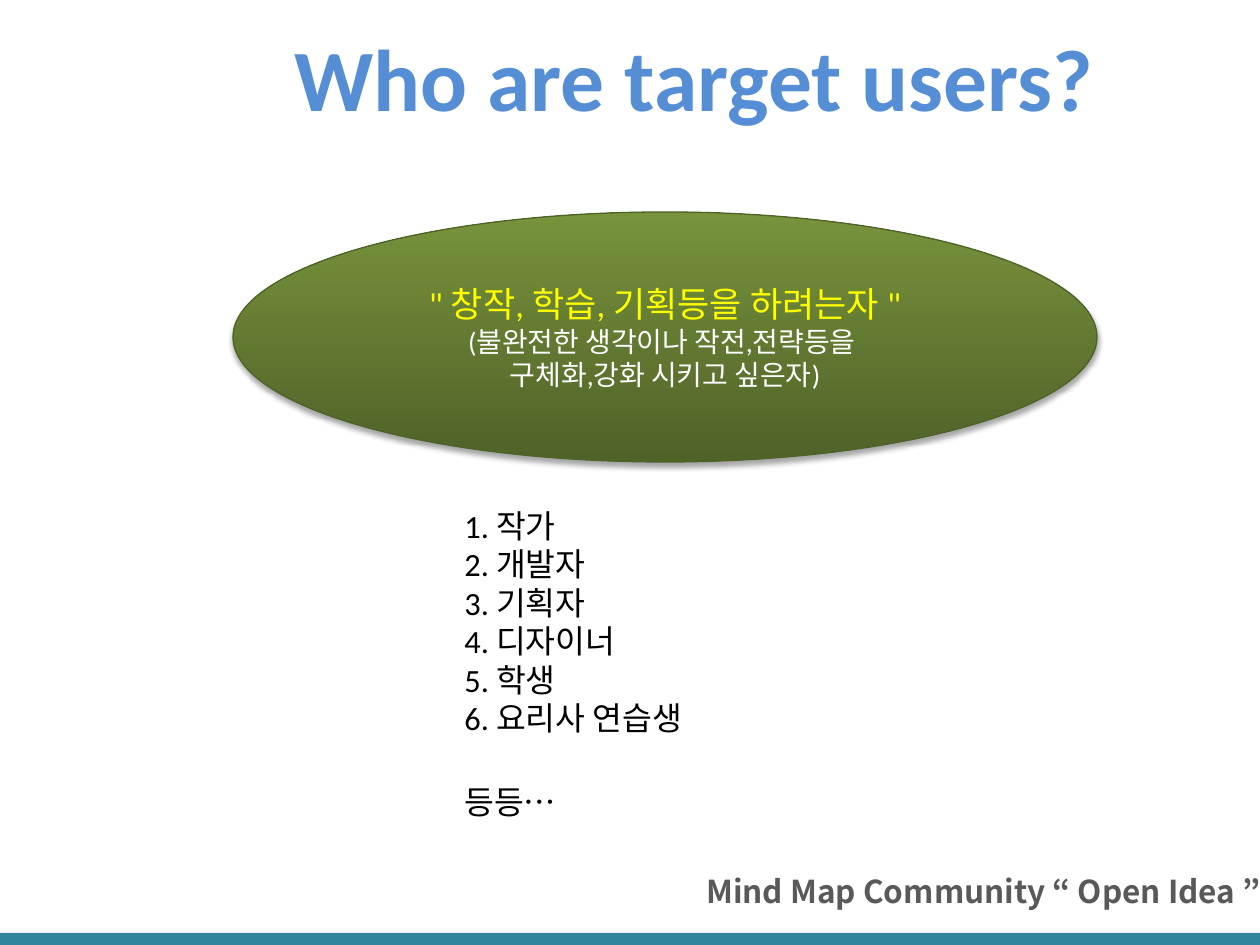
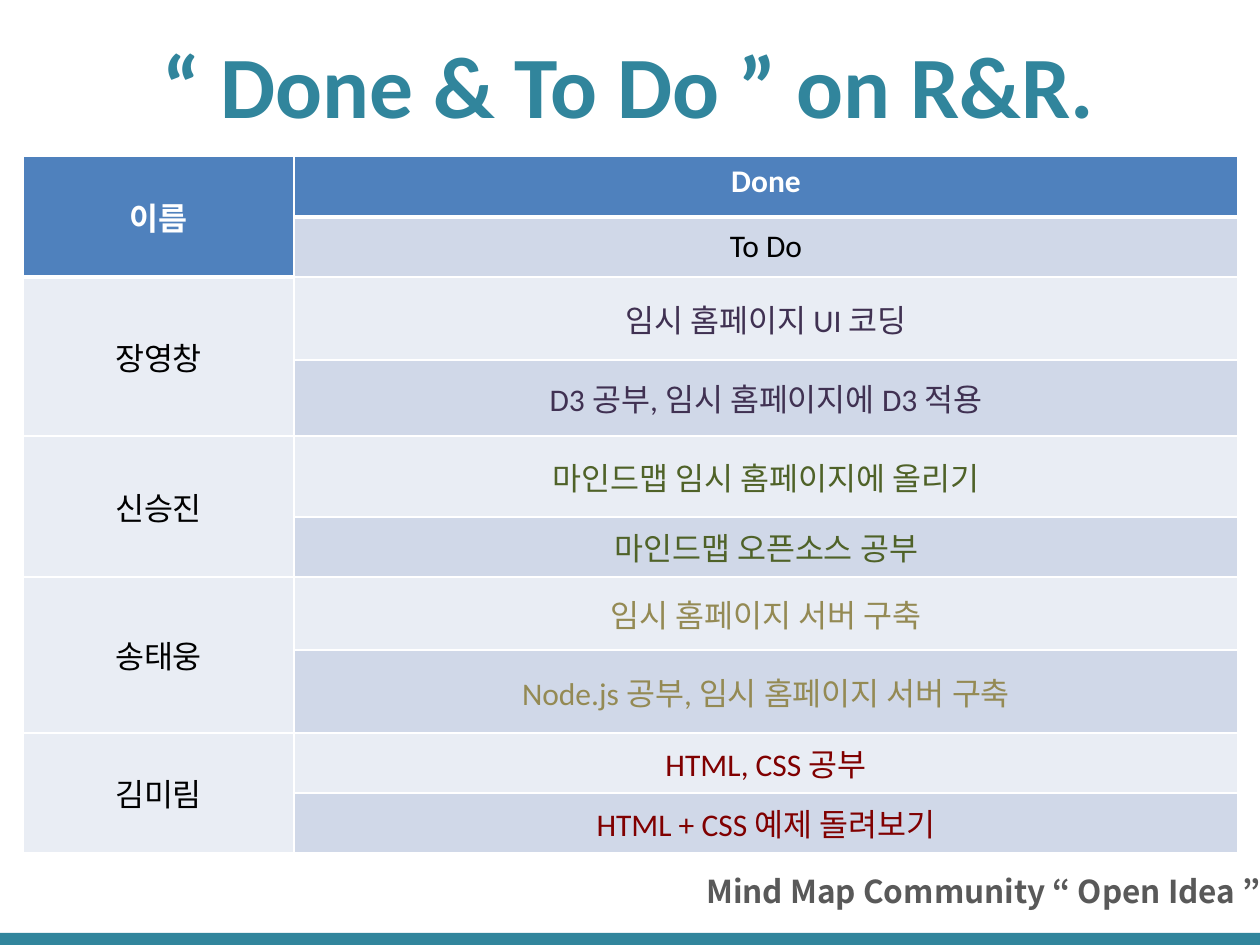
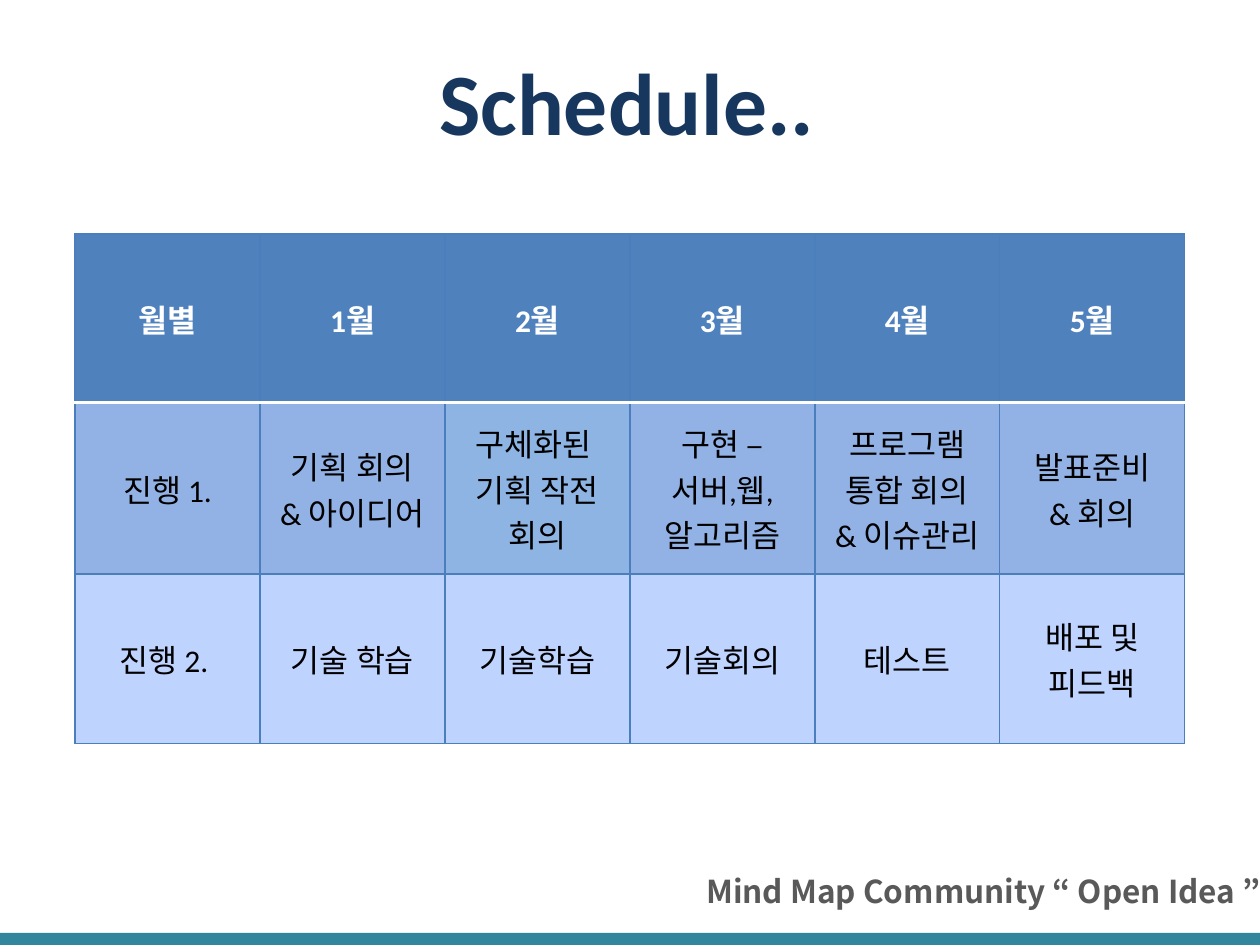
from dataclasses import dataclass
from typing import Optional

import pptx
import pptx.dml.color
import pptx.enum.shapes
import pptx.enum.text
import pptx.oxml
import pptx.oxml.ns
import pptx.util

EMU_PER_PX = 914400 / 126
PT = pptx.util.Pt
ALIGN = pptx.enum.text.PP_ALIGN
ANCHOR = pptx.enum.text.MSO_ANCHOR
SHAPE = pptx.enum.shapes.MSO_SHAPE
FIT = pptx.enum.text.MSO_AUTO_SIZE

COLORS = {
    "white": "FFFFFF",
    "black": "000000",
    "teal": "31859C",
    "sky": "558ED5",
    "navy": "17375E",
    "footer": "595959",
    "yellow": "FFFF00",
    "olive": "4F6228",
    "green": "77933C",
    "header": "4F81BD",
    "grid": "4B7EBC",
    "done": "E9EDF4",
    "todo": "D0D8E8",
    "purple": "403152",
    "khaki": "948A54",
    "maroon": "800000",
    "step1": "92B2E5",
    "step1_focus": "8EB4E3",
    "step2": "BFD3FF",
}


@dataclass(frozen=True)
class Box:
    left: int
    top: int
    width: int
    height: int

    def emu(self) -> tuple[int, int, int, int]:
        return px(self.left), px(self.top), px(self.width), px(self.height)


@dataclass(frozen=True)
class Style:
    size: float
    color: str
    bold: bool = False
    align: Optional[ALIGN] = ALIGN.CENTER
    font: str = "Calibri"


@dataclass(frozen=True)
class Edge:
    color: str
    width: float


@dataclass(frozen=True)
class Member:
    name: str
    done: str
    todo: str
    color: str


HEADER_STYLE = Style(18, "white", bold=True)
CELL_STYLE = Style(18, "black")


def px(length: float) -> int:
    return round(length * EMU_PER_PX)


def rgb(name: str) -> pptx.dml.color.RGBColor:
    return pptx.dml.color.RGBColor.from_string(COLORS[name])


def format_paragraph(p, style: Style) -> None:
    p.alignment = style.align
    p.font.name = style.font
    p.font.size = PT(style.size)
    p.font.bold = style.bold
    p.font.color.rgb = rgb(style.color)


def write(tf, text: str, style: Style) -> None:
    tf.text = text
    for p in tf.paragraphs:
        format_paragraph(p, style)


def add_text(slide, box: Box, text: str, style: Style):
    tf = slide.shapes.add_textbox(*box.emu()).text_frame
    tf.word_wrap = True
    write(tf, text, style)
    return tf


def add_slide(prs, title: str, box: Box, color: str, align: ALIGN = ALIGN.CENTER):
    slide = prs.slides.add_slide(prs.slide_layouts[5])
    sp = slide.shapes.title
    sp.left, sp.top, sp.width, sp.height = box.emu()
    tf = sp.text_frame
    tf.word_wrap = False
    tf.auto_size = FIT.SHAPE_TO_FIT_TEXT
    tf.vertical_anchor = ANCHOR.TOP
    write(tf, title, Style(50, color, bold=True, align=align))

    band = slide.shapes.add_shape(SHAPE.RECTANGLE, *Box(0, 933, 1260, 16).emu())
    band.shadow.inherit = False
    band.fill.solid()
    band.fill.fore_color.rgb = rgb("teal")
    band.line.fill.background()
    footer_style = Style(18, "footer", True, ALIGN.JUSTIFY, "Noto Sans CJK KR")
    add_text(slide, Box(694, 866, 869, 50), "Mind Map Community “ Open Idea ”", footer_style)
    return slide


def add_drop_shadow(sp) -> None:
    sp.shadow.inherit = False
    effects = sp._element.spPr.find(pptx.oxml.ns.qn("a:effectLst"))
    effects.append(pptx.oxml.parse_xml(
        f'<a:outerShdw {pptx.oxml.ns.nsdecls("a")} blurRad="{PT(3.1)}" dist="{PT(1.8)}" '
        f'dir="5400000" rotWithShape="0"><a:srgbClr val="{COLORS["black"]}">'
        '<a:alpha val="35000"/></a:srgbClr></a:outerShdw>'))


def set_edges(cell, edges: dict[str, Edge]) -> None:
    tc_pr = cell._tc.get_or_add_tcPr()
    for index, (side, edge) in enumerate(edges.items()):
        tc_pr.insert(index, pptx.oxml.parse_xml(
            f'<a:ln{side} {pptx.oxml.ns.nsdecls("a")} w="{PT(edge.width)}"><a:solidFill>'
            f'<a:srgbClr val="{COLORS[edge.color]}"/></a:solidFill></a:ln{side}>'))


def add_grid(slide, box: Box, widths: list[int], heights: list[int], edge: Edge, header_edge: Edge):
    table = slide.shapes.add_table(len(heights), len(widths), *box.emu()).table
    table.first_row = False
    table.horz_banding = False
    for column, width in zip(table.columns, widths):
        column.width = px(width)
    for i, (row, height) in enumerate(zip(table.rows, heights)):
        row.height = px(height)
        for cell in row.cells:
            edges = dict.fromkeys("LRTB", edge)
            if i < 2:
                edges["TB"[1 - i]] = header_edge
            set_edges(cell, edges)
    return table


def fill_cell(cell, text: str, fill: str, style: Style = CELL_STYLE) -> None:
    cell.fill.solid()
    cell.fill.fore_color.rgb = rgb(fill)
    cell.vertical_anchor = ANCHOR.MIDDLE
    write(cell.text_frame, text, style)


def build_users(prs) -> None:
    slide = add_slide(prs, "Who are target users?", Box(282, 18, 837, 118), "sky", ALIGN.LEFT)
    roles = ["작가", "개발자", "기획자", "디자이너", "학생", "요리사 연습생"]
    lines = [f"{number}. {role}" for number, role in enumerate(roles, 1)] + ["등등…"]
    tf = add_text(slide, Box(452, 504, 447, 359), "\n".join(lines),
                  Style(18.5, "black", align=ALIGN.LEFT))
    for p in tf.paragraphs:
        p.line_spacing = 0.9
        p.space_before = PT(2)
    tf.paragraphs[-1].space_before = PT(28)

    sp = slide.shapes.add_shape(SHAPE.OVAL, *Box(233, 212, 864, 250).emu())
    add_drop_shadow(sp)
    sp.fill.gradient()
    sp.fill.gradient_angle = 90
    for stop, color in zip(sp.fill.gradient_stops, ("olive", "green")):
        stop.color.rgb = rgb(color)
    sp.line.color.rgb = rgb("olive")
    sp.line.width = PT(0.75)
    tf = sp.text_frame
    tf.vertical_anchor = ANCHOR.MIDDLE
    write(tf, '" 창작, 학습, 기획등을 하려는자 "\n'
              "(불완전한 생각이나 작전,전략등을 \n구체화,강화 시키고 싶은자)", Style(16, "white"))
    format_paragraph(tf.paragraphs[0], Style(20, "yellow"))


def build_tasks(prs) -> None:
    slide = add_slide(prs, "“ Done & To Do ” on R&R.", Box(142, 25, 974, 118), "teal")
    members = [
        Member("장영창", "임시 홈페이지 UI 코딩", "D3 공부, 임시 홈페이지에 D3 적용", "purple"),
        Member("신승진", "마인드맵 임시 홈페이지에 올리기", "마인드맵 오픈소스 공부", "olive"),
        Member("송태웅", "임시 홈페이지 서버 구축", "Node.js 공부, 임시 홈페이지 서버 구축", "khaki"),
        Member("김미림", "HTML, CSS 공부", "HTML + CSS 예제 돌려보기", "maroon"),
    ]
    heights = [61, 60, 83, 76, 81, 60, 73, 83, 60, 60]
    table = add_grid(slide, Box(23, 156, 1215, sum(heights)), [271, 944], heights,
                     Edge("white", 1), Edge("white", 3))
    for top in range(0, len(heights), 2):
        table.cell(top, 0).merge(table.cell(top + 1, 0))
    fill_cell(table.cell(0, 0), "이름", "header", HEADER_STYLE)
    fill_cell(table.cell(0, 1), "Done", "header", HEADER_STYLE)
    table.cell(0, 1).vertical_anchor = ANCHOR.TOP
    fill_cell(table.cell(1, 1), "To Do", "todo")
    for i, member in enumerate(members, 1):
        style = Style(18, member.color)
        fill_cell(table.cell(2 * i, 0), member.name, "done")
        fill_cell(table.cell(2 * i, 1), member.done, "done", style)
        fill_cell(table.cell(2 * i + 1, 1), member.todo, "todo", style)


def build_schedule(prs) -> None:
    slide = add_slide(prs, "Schedule..", Box(425, 42, 404, 118), "navy")
    rows = [
        ["월별"] + [f"{month}월" for month in range(1, 6)],
        ["진행 1.", "기획 회의\n& 아이디어", "구체화된 \n기획 작전 회의",
         "구현 –\n서버,웹, 알고리즘", "프로그램\n통합 회의\n& 이슈관리", "발표준비\n& 회의"],
        ["진행 2. ", "기술 학습", "기술학습", "기술회의", "테스트", "배포 및 피드백"],
    ]
    heights = [169, 171, 170]
    table = add_grid(slide, Box(75, 234, 1111, sum(heights)), [185] * 6, heights,
                     Edge("grid", 0.75), Edge("white", 2))
    for i, (texts, fill) in enumerate(zip(rows, ("header", "step1", "step2"))):
        for j, text in enumerate(texts):
            color = "step1_focus" if (i, j) == (1, 2) else fill
            fill_cell(table.cell(i, j), text, color, CELL_STYLE if i else HEADER_STYLE)


def main() -> None:
    prs = pptx.Presentation()
    prs.slide_width = px(1260)
    prs.slide_height = px(945)
    build_users(prs)
    build_tasks(prs)
    build_schedule(prs)
    prs.save("out.pptx")


main()
